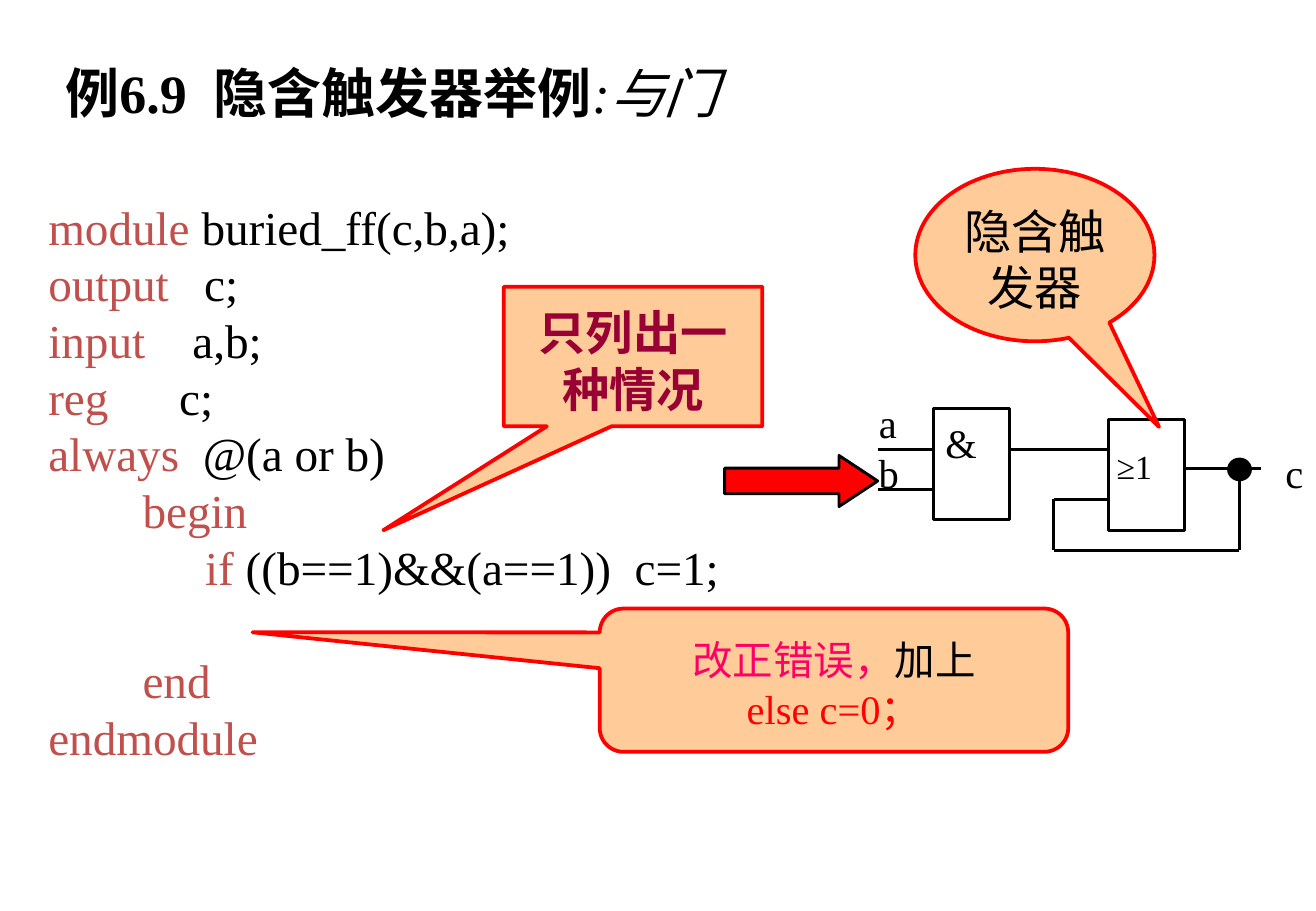
from lxml.etree import SubElement
from pptx import Presentation
from pptx.dml.color import RGBColor
from pptx.enum.shapes import MSO_CONNECTOR, MSO_SHAPE
from pptx.enum.text import MSO_ANCHOR, PP_ALIGN
from pptx.oxml.ns import qn
from pptx.util import Pt

PX = 9144
FONT = "Times New Roman"
BLACK, RED, KEYWORD, PEACH = "000000", "FF0000", "C0504D", "FFCC99"

TITLE = [[("例6.9  隐含触发器举例", BLACK, "b"), (":与门", BLACK, "i")]]
CODE = [
    [("module", KEYWORD), (" buried_ff(c,b,a);", BLACK)],
    [("output", KEYWORD), ("   c;", BLACK)],
    [("input", KEYWORD), ("    a,b;", BLACK)],
    [("reg", KEYWORD), ("      c;", BLACK)],
    [("always", KEYWORD), ("  @(a or b)", BLACK)],
    [("        begin", KEYWORD)],
    [("\t   ", BLACK), ("if", KEYWORD), (" ((b==1)&&(a==1))  c=1;", BLACK)],
    [("        end", KEYWORD)],
    [("endmodule", KEYWORD)],
]
END_LINE = 7
GATES = [(769, 336, 63, 92), (913, 345, 63, 92)]
WIRES = [
    [(832, 370), (913, 370)],
    [(976, 386), (1039, 386)],
    [(1021, 386), (1021, 453), (868, 453), (868, 411), (913, 411)],
    [(723, 370), (769, 370)],
    [(723, 403), (769, 403)],
]
JUNCTION = (1012, 378, 18, 17)
LABELS = [
    ("&", (769, 336, 46, 50), 24),
    ("≥1", (910, 359, 49, 44), 20),
    ("a", (714, 320, 35, 50), 24),
    ("b", (714, 361, 40, 50), 24),
    ("c", (1049, 361, 35, 50), 24),
]
CALLOUTS = [
    (MSO_SHAPE.RECTANGULAR_CALLOUT, (415, 236, 213, 115), (-0.966, 1.244), 28,
     [[("只列出一种情况", "990033", "b")]]),
    (MSO_SHAPE.OVAL_CALLOUT, (754, 139, 197, 142), (0.519, 0.996), 28,
     [[("隐含触发器", BLACK)]]),
    (MSO_SHAPE.ROUNDED_RECTANGULAR_CALLOUT, (494, 501, 386, 118),
     (-1.241, -0.334, 0.167), 24,
     [[("改正错误，", "FF0066"), ("加上", BLACK)], [("else c=0；", RED)]]),
]


def color(value):
    return RGBColor.from_string(value)


def emu(lengths):
    return [n * PX for n in lengths]


def write(frame, lines, size, wrap=True, align=PP_ALIGN.LEFT,
          anchor=MSO_ANCHOR.TOP, tab=None, gap_before=None):
    frame.word_wrap = wrap
    frame.vertical_anchor = anchor
    frame.margin_left = frame.margin_right = 10 * PX
    frame.margin_top, frame.margin_bottom = 8 * PX, 2 * PX
    for number, line in enumerate(lines):
        paragraph = frame.paragraphs[0] if number == 0 else frame.add_paragraph()
        paragraph.alignment = align
        paragraph.line_spacing = Pt(size * 1.2)
        if number == gap_before:
            paragraph.space_before = Pt(size * 1.2)
        if tab:
            stops = SubElement(paragraph._p.get_or_add_pPr(), qn("a:tabLst"))
            SubElement(stops, qn("a:tab"), pos=str(tab * PX), algn="l")
        for words, ink, *style in line:
            run = paragraph.add_run()
            run.text = words
            run.font.name = FONT
            run.font.size = Pt(size)
            run.font.bold = "b" in style
            run.font.italic = "i" in style
            run.font.color.rgb = color(ink)


def add_text(slide, box, lines, size, **layout):
    write(slide.shapes.add_textbox(*emu(box)).text_frame, lines, size, **layout)


def add_shape(slide, kind, box, fill=None, line=BLACK, width=1.75, adjust=()):
    shape = slide.shapes.add_shape(kind, *emu(box))
    shape.shadow.inherit = False
    for index, value in enumerate(adjust):
        shape.adjustments[index] = value
    if fill:
        shape.fill.solid()
        shape.fill.fore_color.rgb = color(fill)
    else:
        shape.fill.background()
    shape.line.color.rgb = color(line)
    shape.line.width = Pt(width)
    return shape


def add_wire(slide, start, end):
    wire = slide.shapes.add_connector(MSO_CONNECTOR.STRAIGHT, *emu(start + end))
    wire.line.color.rgb = color(BLACK)
    wire.line.width = Pt(1.75)
    SubElement(wire._element.spPr, qn("a:effectLst"))


def main():
    deck = Presentation()
    deck.slide_width, deck.slide_height = emu((1084, 750))
    slide = deck.slides.add_slide(deck.slide_layouts[6])

    add_text(slide, (44, 41, 600, 64), TITLE, 32, wrap=False)
    add_text(slide, (30, 155, 630, 477), CODE, 28, tab=100, gap_before=END_LINE)
    add_shape(slide, MSO_SHAPE.RIGHT_ARROW, (597, 375, 126, 42), fill=RED,
              adjust=(0.5, 0.758))

    for gate in GATES:
        add_shape(slide, MSO_SHAPE.RECTANGLE, gate)
    for points in WIRES:
        for start, end in zip(points, points[1:]):
            add_wire(slide, start, end)
    add_shape(slide, MSO_SHAPE.OVAL, JUNCTION, fill=BLACK)
    for label, box, size in LABELS:
        add_text(slide, box, [[(label, BLACK)]], size, wrap=False)

    for kind, box, pointer, size, lines in CALLOUTS:
        callout = add_shape(slide, kind, box, fill=PEACH, line=RED, width=2.25,
                            adjust=pointer)
        write(callout.text_frame, lines, size, align=PP_ALIGN.CENTER,
              anchor=MSO_ANCHOR.MIDDLE)

    deck.save("out.pptx")


if __name__ == "__main__":
    main()
